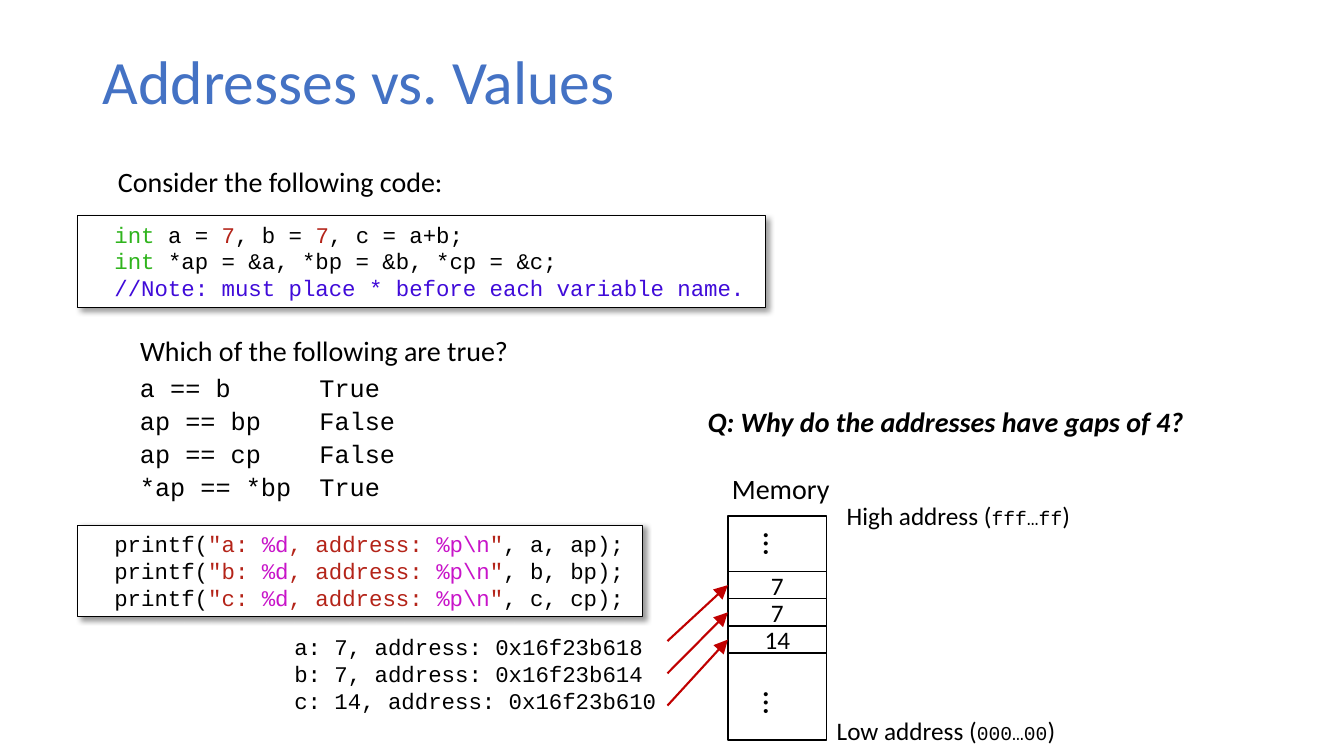
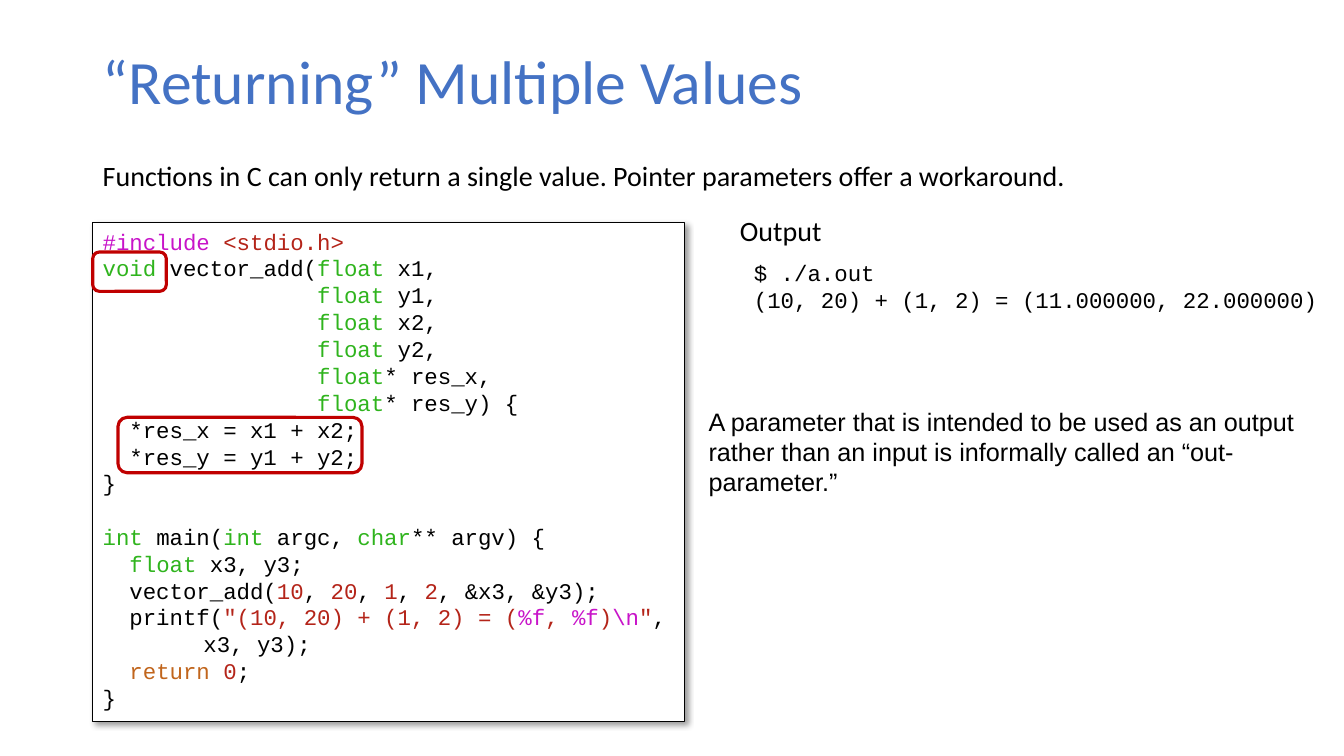
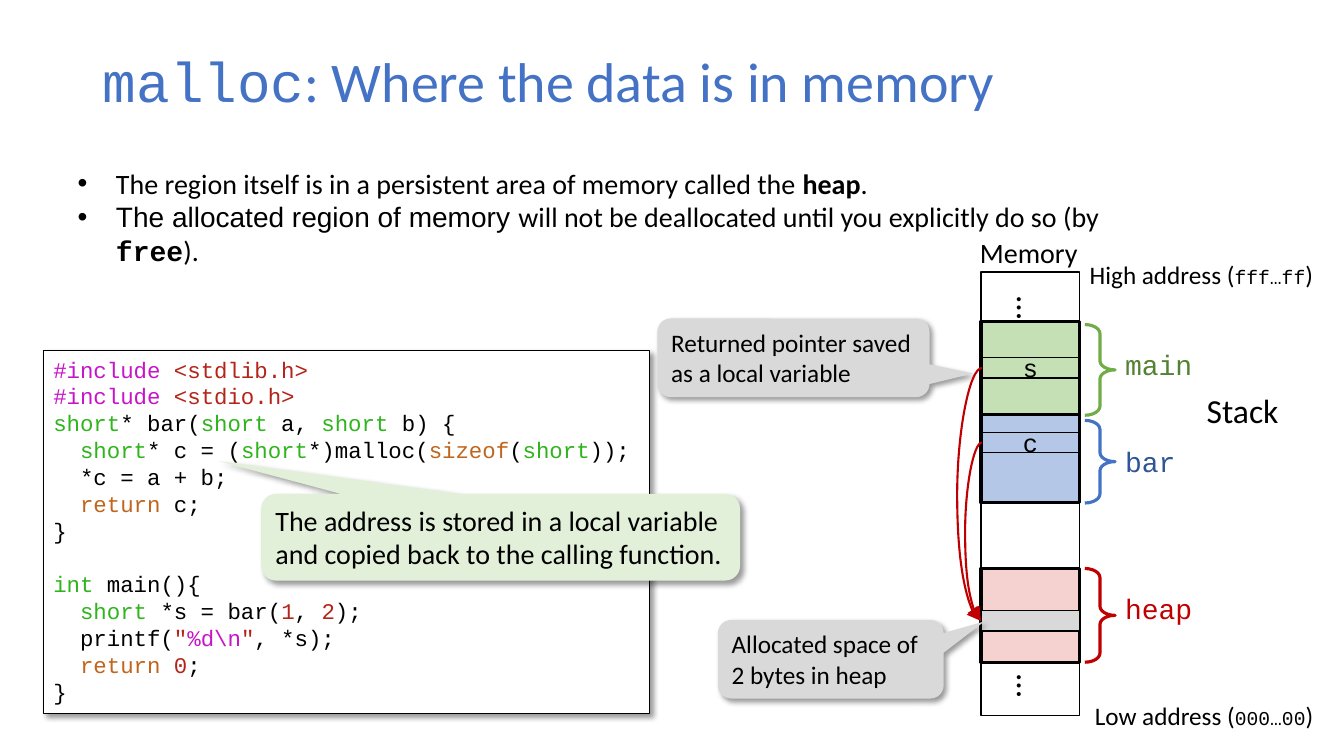
from dataclasses import dataclass
from typing import Any, Optional

import lxml.etree
import pptx
import pptx.dml.color
import pptx.enum.shapes
import pptx.enum.text
import pptx.oxml.ns
import pptx.util

Inches = pptx.util.Inches
Pt = pptx.util.Pt
qn = pptx.oxml.ns.qn
Shape = pptx.enum.shapes.MSO_SHAPE
Connector = pptx.enum.shapes.MSO_CONNECTOR
Align = pptx.enum.text.PP_ALIGN
Anchor = pptx.enum.text.MSO_ANCHOR
AutoSize = pptx.enum.text.MSO_AUTO_SIZE

SANS, MONO = "Calibri", "Courier New"
BLACK, WHITE, BLUE, RED, GREY = "000000", "FFFFFF", "4472C4", "C00000", "D9D9D9"
CELL_WIDTH = 0.98
TITLE_ONLY, TITLE_AND_BODY = 5, 1
Box = tuple[float, float, float, float]
Point = tuple[float, float]


@dataclass(frozen=True)
class Style:
    colour: Optional[str] = None
    font: Optional[str] = None
    size: Optional[float] = None
    bold: Optional[bool] = None


STYLES = {
    "type": Style(colour="2FB41D"),
    "value": Style(colour="B42419"),
    "special": Style(colour="C814C9"),
    "comment": Style(colour="400BD9"),
    "keyword": Style(colour="C1651C"),
    "mono": Style(font=MONO),
    "address": Style(font=MONO, size=14),
    "arial": Style(font="Arial"),
    "strong": Style(bold=True),
    "call": Style(font=MONO, bold=True),
}


@dataclass(frozen=True)
class MemoryColumn:
    left: float
    top: float
    height: float
    dots_tops: tuple[float, float]
    title: Point
    high: Point
    low: Point


@dataclass(frozen=True)
class Region:
    label: str
    top: float
    height: float
    fill: str
    colour: str
    brace_colour: str
    brace_top: float
    brace_height: float
    label_top: float
    slot_top: float
    slot_text: str = ""
    slot_fill: Optional[str] = None


@dataclass(frozen=True)
class Callout:
    text: str
    box: Box
    tip: Point
    fill: str = GREY
    size: float = 18


def rgb(colour: str) -> pptx.dml.color.RGBColor:
    return pptx.dml.color.RGBColor.from_string(colour)


def inches(box: Box) -> list[int]:
    return [Inches(length) for length in box]


def split_styles(line: str) -> list[tuple[str, Style]]:
    """Split "plain [style|text] plain" into spans with their styles."""
    first, *rest = line.split("[")
    spans = [(first, Style())]
    for part in rest:
        name, _, marked = part.partition("|")
        text, _, tail = marked.partition("]")
        spans += [(text, STYLES[name]), (tail, Style())]
    return [(text, style) for text, style in spans if text]


def write(frame: Any, text: str, *, size: float = 20, font: str = SANS,
          colour: str = BLACK, bold: bool = False, italic: bool = False,
          align: Any = Align.LEFT, anchor: Any = Anchor.TOP, wrap: bool = False,
          grow: bool = True, spacing: Optional[float] = None,
          bullet: str = "") -> None:
    """Write one paragraph a line; an empty line becomes space before the next."""
    frame.word_wrap = wrap
    frame.auto_size = AutoSize.SHAPE_TO_FIT_TEXT if grow else AutoSize.NONE
    frame.vertical_anchor = anchor
    para, gap = frame.paragraphs[0], 0
    for index, line in enumerate(text.split("\n")):
        if not line:
            gap = 19
            continue
        if index:
            para = frame.add_paragraph()
        properties = para._p.get_or_add_pPr()
        if bullet:
            properties.set("marL", str(Inches(0.38)))
            properties.set("indent", str(Inches(-0.38)))
            lxml.etree.SubElement(properties, qn("a:buFont"), typeface="Arial")
            lxml.etree.SubElement(properties, qn("a:buChar"), char=bullet)
        if "\t" in line:
            tabs = lxml.etree.SubElement(properties, qn("a:tabLst"))
            lxml.etree.SubElement(tabs, qn("a:tab"), pos=str(Inches(1)), algn="l")
        para.alignment = align
        para.space_before, gap = Pt(gap), 0
        if spacing:
            para.line_spacing = spacing
        for words, style in split_styles(line):
            span = para.add_run()
            span.text = words
            span.font.name = style.font or font
            span.font.size = Pt(style.size or size)
            span.font.bold = style.bold or bold
            span.font.italic = italic
            span.font.color.rgb = rgb(style.colour or colour)


def add_text(page: Any, box: Box, text: str, **text_format: Any) -> Any:
    label = page.shapes.add_textbox(*inches(box))
    write(label.text_frame, text, **text_format)
    return label


def add_shape(page: Any, kind: Any, box: Box, *, fill: Optional[str] = None,
              line: Optional[str] = None, width: float = 1,
              adjust: tuple[float, ...] = (), shadow: bool = False) -> Any:
    shape = page.shapes.add_shape(kind, *inches(box))
    for index, value in enumerate(adjust):
        shape.adjustments[index] = value
    if fill:
        shape.fill.solid()
        shape.fill.fore_color.rgb = rgb(fill)
    else:
        shape.fill.background()
    if line:
        shape.line.color.rgb = rgb(line)
        shape.line.width = Pt(width)
    else:
        shape.line.fill.background()
    shape.shadow.inherit = False
    if shadow:
        effects = shape.element.spPr.find(qn("a:effectLst"))
        outer = lxml.etree.SubElement(
            effects, qn("a:outerShdw"), blurRad=str(Pt(4)), dist=str(Pt(3)),
            dir="2700000", algn="tl", rotWithShape="0")
        tint = lxml.etree.SubElement(outer, qn("a:srgbClr"), val=BLACK)
        lxml.etree.SubElement(tint, qn("a:alpha"), val="40000")
    return shape


def add_code(page: Any, box: Box, code: str, wrap: bool = False) -> None:
    panel = add_shape(page, Shape.RECTANGLE, box, fill=WHITE, line=BLACK,
                      width=0.75, shadow=True)
    write(panel.text_frame, code, size=16, font=MONO, wrap=wrap)


def add_cell(page: Any, left: float, top: float, height: float, text: str = "",
             font: str = SANS, fill: Optional[str] = None, width: float = 1) -> Any:
    cell = add_shape(page, Shape.RECTANGLE, (left, top, CELL_WIDTH, height),
                     fill=fill, line=BLACK, width=width)
    if text:
        write(cell.text_frame, text, size=18, font=font, align=Align.CENTER,
              anchor=Anchor.MIDDLE, wrap=True, grow=False)
    return cell


def add_arrow(page: Any, start: Point, end: Point,
              bend: Optional[float] = None) -> Any:
    """Draw a red arrow; bend is the x that a curved arrow reaches halfway."""
    kind = Connector.STRAIGHT if bend is None else Connector.CURVE
    arrow = page.shapes.add_connector(kind, *inches((*start, *end)))
    arrow.line.color.rgb = rgb(RED)
    arrow.line.width = Pt(1.5)
    properties = arrow.element.spPr
    lxml.etree.SubElement(properties.find(qn("a:ln")), qn("a:tailEnd"),
                          type="triangle", w="lg", len="lg")
    lxml.etree.SubElement(properties, qn("a:effectLst"))
    if bend is not None:
        ratio = round((bend - start[0]) / (end[0] - start[0]) * 100000)
        guides = properties.find(qn("a:prstGeom")).find(qn("a:avLst"))
        lxml.etree.SubElement(guides, qn("a:gd"), name="adj1", fmla=f"val {ratio}")
    return arrow


def add_memory(page: Any, column: MemoryColumn) -> None:
    add_cell(page, column.left, column.top, column.height, fill=WHITE)
    for top in column.dots_tops:
        dots = add_text(page, (column.left + 0.2, top, 0.58, 0.5), "…", size=24,
                        align=Align.CENTER)
        dots.rotation = 90
    add_text(page, (*column.title, 1.18, 0.44), "Memory")
    add_text(page, (*column.high, 2.44, 0.4), "High address ([address|fff…ff])", size=18)
    add_text(page, (*column.low, 2.39, 0.4), "Low address ([address|000…00])", size=18)


def add_region(page: Any, left: float, region: Region) -> None:
    add_cell(page, left, region.top, region.height, fill=region.fill, width=2.25)
    add_cell(page, left, region.slot_top, 0.2, region.slot_text, font=MONO,
             fill=region.slot_fill)
    add_shape(page, Shape.RIGHT_BRACE,
              (left + 1.03, region.brace_top, 0.3, region.brace_height),
              line=region.brace_colour, width=2.25, adjust=(0.3, 0.5))
    label_width = 0.2 + 0.17 * len(region.label)
    add_text(page, (left + 1.33, region.label_top, label_width, 0.44), region.label,
             font=MONO, colour=region.colour)


def add_callout(page: Any, callout: Callout) -> None:
    bubble = add_shape(page, Shape.ROUNDED_RECTANGULAR_CALLOUT, callout.box,
                       fill=callout.fill, adjust=(*callout.tip, 0.17), shadow=True)
    write(bubble.text_frame, callout.text, size=callout.size, wrap=True)


def place(placeholder: Any, box: Box) -> None:
    placeholder.left, placeholder.top, placeholder.width, placeholder.height = inches(box)


def add_page(deck: Any, title: str, size: float = 44, layout: int = TITLE_ONLY) -> Any:
    page = deck.slides.add_slide(deck.slide_layouts[layout])
    place(page.shapes.title, (0.92, 0.4, 11.5, 0.87))
    write(page.shapes.title.text_frame, title, size=size, colour=BLUE,
          anchor=Anchor.MIDDLE, wrap=True, grow=False, spacing=0.9)
    return page


def add_addresses_page(deck: Any) -> None:
    page = add_page(deck, "Addresses vs. Values")
    add_text(page, (1.07, 1.58, 3.51, 0.44), "Consider the following code:")
    add_code(page, (0.77, 2.14, 6.82, 0.91),
             "  [type|int] a = [value|7], b = [value|7], c = a+b;\n"
             "  [type|int] *ap = &a, *bp = &b, *cp = &c;\n"
             "  [comment|//Note: must place * before each variable name.]")
    add_text(page, (1.29, 3.26, 3.95, 0.44), "Which of the following are true?")
    answers = {"a == b": "True", "ap == bp": "False", "ap == cp": "False",
               "*ap == *bp": "True"}
    for row, pair in enumerate(answers.items()):
        for left, text in zip((1.29, 3.07), pair):
            add_text(page, (left, 3.64 + 0.33 * row, 0.2 + 0.15 * len(text), 0.4),
                     text, size=18, font=MONO)
    add_code(page, (0.77, 5.21, 5.6, 0.91), "\n".join(
        rf'  printf([value|"{name}: ][special|%d][value|, address: ]'
        rf'[special|%p\n][value|"], {name}, {name}p);' for name in "abc"))
    add_text(page, (2.82, 6.23, 3.85, 0.91),
             "a: 7, address: 0x16f23b618\n"
             "b: 7, address: 0x16f23b614\n"
             "c: 14, address: 0x16f23b610", size=16, font=MONO)
    add_text(page, (6.92, 3.96, 5.19, 0.44), "Q: Why do the addresses have gaps of 4?",
             bold=True, italic=True, wrap=True)

    column = MemoryColumn(7.22, 5.12, 2.22, (5.15, 6.73), title=(7.16, 4.63),
                          high=(8.3, 4.91), low=(8.2, 7.05))
    add_memory(page, column)
    for row, value in enumerate(("7", "7", "14")):
        top = 5.67 + 0.27 * row
        cell = add_cell(page, column.left, top, 0.27, value, fill=WHITE)
        arrow = add_arrow(page, (6.62, 6.36 + 0.32 * row), (column.left, top))
        arrow.end_connect(cell, 1)


def add_returning_page(deck: Any) -> None:
    page = add_page(deck, "“Returning” Multiple Values")
    add_text(page, (0.92, 1.52, 9.91, 0.44),
             "Functions in C can only return a single value. "
             "Pointer parameters offer a workaround.")
    add_code(page, (0.92, 2.21, 5.87, 4.95), r"""[special|#include ][value|<stdio.h>]
[type|void ]vector_add([type|float] x1,
                [type|float] y1,
                [type|float] x2,
                [type|float] y2,
                [type|float]* res_x,
                [type|float]* res_y) {
  *res_x = x1 + x2;
  *res_y = y1 + y2;
}

[type|int] main([type|int ]argc, [type|char]** argv) {
  [type|float] x3, y3;
  vector_add([value|10], [value|20], [value|1], [value|2], &x3, &y3);
  printf([value|"(10, 20) + (1, 2) = (][special|%f][value|, ][special|%f][value|)][special|\n][value|"],
""" + "\tx3, y3);\n" + """  [keyword|return ][value|0];
}""", wrap=True)
    add_text(page, (7.38, 2.52, 5.87, 0.64),
             "$ ./a.out\n(10, 20) + (1, 2) = (11.000000, 22.000000)",
             size=16, font=MONO)
    add_text(page, (7.24, 2.07, 1.02, 0.44), "Output")
    add_text(page, (6.93, 3.98, 6.3, 0.71),
             "A parameter that is intended to be used as an output rather than an input "
             "is informally called an “out-parameter.”", size=18, font="Arial", wrap=True)
    for highlight in ((0.92, 2.5, 0.73, 0.39), (1.17, 4.14, 2.42, 0.55)):
        add_shape(page, Shape.ROUNDED_RECTANGLE, highlight, line=RED, width=2.25)


def add_malloc_page(deck: Any) -> None:
    page = add_page(deck, "[mono|malloc]: Where the data is in memory", size=40,
                    layout=TITLE_AND_BODY)
    body = page.placeholders[1]
    place(body, (0.67, 1.6, 11.05, 0.77))
    write(body.text_frame,
          "The region itself is in a persistent area of memory called the [strong|heap].\n"
          "[arial|The allocated region of memory ]will not be deallocated until you "
          "explicitly do so (by [call|free]).", bullet="•", wrap=True)

    column = MemoryColumn(9.73, 2.7, 4.4, (2.81, 6.56), title=(9.62, 2.29),
                          high=(10.71, 2.52), low=(10.76, 6.9))
    add_memory(page, column)
    regions = (
        Region("main", 3.19, 0.93, "C5E0B4", "548235", "70AD47", 3.22, 0.9, 3.4, 3.55, "s"),
        Region("bar", 4.11, 0.88, "B4C7E7", "2F5597", BLUE, 4.17, 0.82, 4.36, 4.29, "c"),
        Region("heap", 5.64, 0.93, "F5D1CF", RED, RED, 5.64, 0.93, 5.82, 6.06,
               slot_fill=GREY),
    )
    for region in regions:
        add_region(page, column.left, region)
    add_text(page, (11.87, 3.82, 1.1, 0.5), "Stack", size=24, wrap=True)

    add_code(page, (0.43, 3.48, 6.01, 3.6), r"""[special|#include ][value|<stdlib.h>]
[special|#include ][value|<stdio.h>]
[type|short]* bar([type|short] a, [type|short] b) {
  [type|short]* c = ([type|short]*)malloc([keyword|sizeof]([type|short]));
  *c = a + b;
  [keyword|return] c;
}

[type|int] main(){
  [type|short] *s = bar([value|1], [value|2]);
  printf([value|"][special|%d\n][value|"], *s);
  [keyword|return ][value|0];
}""")
    callouts = (
        Callout("The address is stored in a local variable and copied back to the "
                "calling function.", (2.59, 4.9, 4.75, 0.86), (-0.59, -0.88), "E2F0D9", 20),
        Callout("Returned pointer saved as a local variable",
                (6.52, 3.16, 2.7, 0.78), (0.66, 0.2)),
        Callout("Allocated space of 2 bytes in heap",
                (7.12, 6.15, 2.24, 0.78), (0.68, -0.48)),
    )
    for callout in callouts:
        add_callout(page, callout)
    for top, bend in ((3.65, 9.49), (4.39, 9.57)):
        add_arrow(page, (column.left + 0.01, top), (column.left, 6.16), bend)


def main() -> None:
    deck = pptx.Presentation()
    deck.slide_width, deck.slide_height = Inches(13.33), Inches(7.5)
    add_addresses_page(deck)
    add_returning_page(deck)
    add_malloc_page(deck)
    deck.save("out.pptx")


if __name__ == "__main__":
    main()
